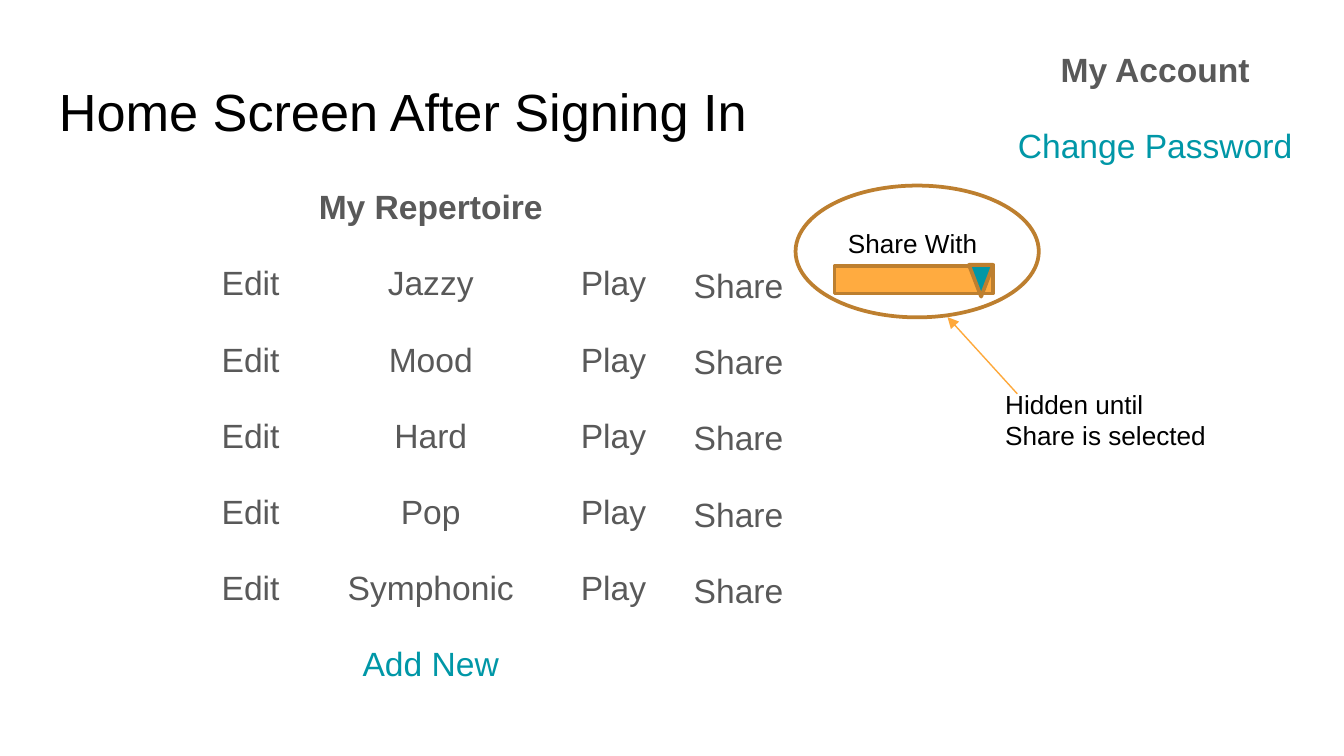
import pptx
import pptx.dml.color
import pptx.enum.shapes
import pptx.enum.text
import pptx.oxml.ns
import pptx.util
from lxml import etree

Pt = pptx.util.Pt
SHAPE = pptx.enum.shapes.MSO_SHAPE
FONT = "Arial"
BLACK, GRAY, TEAL = "000000", "595959", "0097A7"
ORANGE, BROWN, ARROW = "FFAB40", "BD7F2F", "FEA83A"
COLUMN_WIDTH = 164.9
HEADER_TOP = 89.3
ROW_PITCH = 40.8


def color(value):
    return pptx.dml.color.RGBColor.from_string(value)


def add_text(s, box, lines, size, inset=7.2, listed=False):
    """Add (text, colour, bold) lines; listed lines are centred and spaced apart."""
    tf = s.shapes.add_textbox(*map(Pt, box)).text_frame
    tf.word_wrap = True
    tf.margin_left = tf.margin_right = Pt(7.2)
    tf.margin_top = tf.margin_bottom = Pt(inset)
    for i, (text, hex_color, bold) in enumerate(lines):
        p = tf.add_paragraph() if i else tf.paragraphs[0]
        p.text = text
        p.font.name, p.font.size, p.font.bold = FONT, Pt(size), bold
        p.font.color.rgb = color(hex_color)
        if listed:
            p.alignment = pptx.enum.text.PP_ALIGN.CENTER
            p.line_spacing = 1.15
            p.space_after = Pt(16)


def add_column(s, left, top, lines):
    height = ROW_PITCH * len(lines) + 14.4
    add_text(s, (left, top, COLUMN_WIDTH, height), lines, 18, listed=True)


def add_outlined(s, kind, box, fill=None, rotation=0):
    sp = s.shapes.add_shape(kind, *map(Pt, box))
    sp.shadow.inherit = False
    sp.rotation = rotation
    if fill:
        sp.fill.solid()
        sp.fill.fore_color.rgb = color(fill)
    else:
        sp.fill.background()
    sp.line.color.rgb = color(BROWN)
    sp.line.width = Pt(2)


def add_arrow(s, start, end):
    line = s.shapes.add_connector(
        pptx.enum.shapes.MSO_CONNECTOR.STRAIGHT, *map(Pt, start + end))
    line.line.color.rgb = color(ARROW)
    line.line.width = Pt(0.75)
    qn = pptx.oxml.ns.qn
    etree.SubElement(line.line._get_or_add_ln(), qn("a:tailEnd"), type="triangle")
    etree.SubElement(line._element.spPr, qn("a:effectLst"))


def main():
    prs = pptx.Presentation()
    prs.slide_width, prs.slide_height = Pt(720), Pt(405)
    s = prs.slides.add_slide(prs.slide_layouts[6])

    add_text(s, (24.5, 35.3, 671, 45.4),
             [("Home Screen After Signing In", BLACK, False)], 28)

    pieces = ["Jazzy", "Mood", "Hard", "Pop", "Symphonic"]
    add_column(s, 148.3, HEADER_TOP,
               [("My Repertoire", GRAY, True)]
               + [(piece, GRAY, False) for piece in pieces]
               + [("Add New", TEAL, False)])
    first_row = HEADER_TOP + ROW_PITCH
    for action, left, drop in [("Edit", 51.8, 0), ("Play", 246.2, 0),
                               ("Share", 313.2, 1.4)]:
        add_column(s, left, first_row + drop,
                   [(action, GRAY, False)] * len(pieces))
    add_column(s, 536.4, 15.8,
               [("My Account", GRAY, True), ("Change Password", TEAL, False)])

    add_text(s, (447.1, 118.1, 135.4, 24.5),
             [("Share With", BLACK, False)], 14, inset=3.6)
    add_outlined(s, SHAPE.RECTANGLE, (447.1, 142.6, 84.8, 14.7), ORANGE)
    add_outlined(s, SHAPE.ISOSCELES_TRIANGLE, (519.1, 141.9, 13, 17), TEAL, 180)
    add_text(s, (531.4, 204.5, 125.3, 41),
             [("Hidden until Share is selected", BLACK, False)], 14, inset=3.6)
    add_arrow(s, (545, 211), (507.6, 169.9))
    add_outlined(s, SHAPE.OVAL, (426.2, 99.4, 130.3, 70.6))

    prs.save("out.pptx")


if __name__ == "__main__":
    main()
